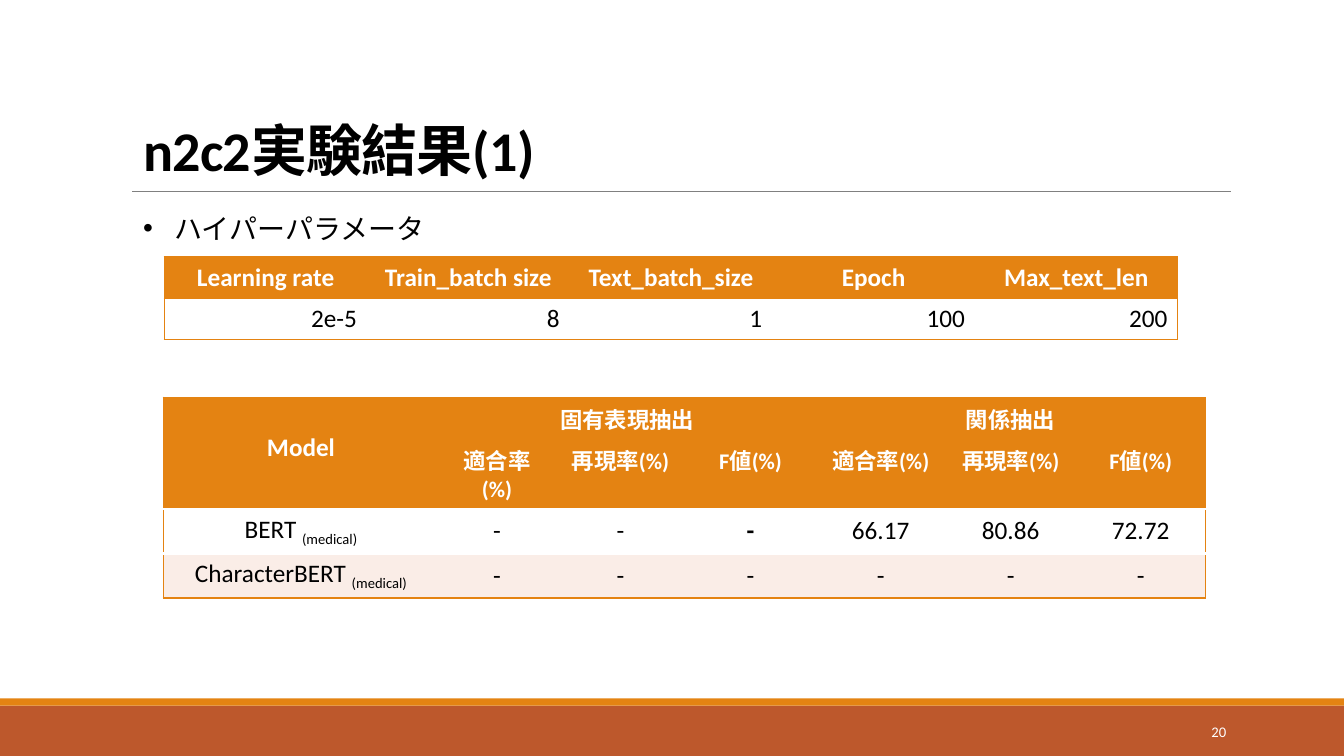
from lxml import etree
from pptx import Presentation
from pptx.dml.color import RGBColor
from pptx.enum import shapes, text
from pptx.oxml.ns import qn
from pptx.util import Inches, Pt

ORANGE = RGBColor(0xE4, 0x83, 0x12)
RUST = RGBColor(0xBD, 0x58, 0x2C)
PINK = RGBColor(0xFA, 0xED, 0xE7)
GRAY = RGBColor(0x80, 0x80, 0x80)
WHITE = RGBColor(0xFF, 0xFF, 0xFF)
BLACK = RGBColor(0, 0, 0)
LEFT, CENTER, RIGHT = text.PP_ALIGN.LEFT, text.PP_ALIGN.CENTER, text.PP_ALIGN.RIGHT
TOP, MIDDLE = text.MSO_ANCHOR.TOP, text.MSO_ANCHOR.MIDDLE
NO_GRID = "{2D5ABB26-0587-4C30-8999-92F81FD0307C}"


def add_run(p, words, size, color, bold=False):
    r = p.add_run()
    r.text = words
    r.font.size, r.font.bold = Pt(size), bold
    r.font.color.rgb = color
    r.font.name = "Calibri"
    etree.SubElement(r._r.rPr, qn("a:ea"), typeface="Noto Sans CJK JP")
    return r


def add_border(cell, side, color, width):
    ln = etree.SubElement(cell._tc.get_or_add_tcPr(), qn("a:ln" + side), w=str(Pt(width)))
    fill = etree.SubElement(ln, qn("a:solidFill"))
    etree.SubElement(fill, qn("a:srgbClr"), val=str(color))


prs = Presentation()
prs.slide_width, prs.slide_height = Inches(13.33), Inches(7.5)
s = prs.slides.add_slide(prs.slide_layouts[5])

# Footer bands
for top, height, color in [(7, 0.5, RUST), (6.93, 0.07, ORANGE)]:
    sp = s.shapes.add_shape(shapes.MSO_SHAPE.RECTANGLE, 0, Inches(top),
                            prs.slide_width, Inches(height))
    sp.shadow.inherit = False
    sp.fill.solid()
    sp.fill.fore_color.rgb = color
    sp.line.fill.background()

# Rule under the title
rule = s.shapes.add_connector(shapes.MSO_CONNECTOR.STRAIGHT, Inches(1.31), Inches(1.9),
                              Inches(12.21), Inches(1.9))
rule.line.color.rgb = GRAY
rule.line.width = Pt(0.5)
etree.SubElement(rule._element.spPr, qn("a:effectLst"))

# Title
title = s.shapes.title
title.left, title.top = Inches(1.32), Inches(0.82)
title.width, title.height = Inches(10.93), Inches(1.04)
tf = title.text_frame
tf.auto_size = text.MSO_AUTO_SIZE.NONE
tf.vertical_anchor = text.MSO_ANCHOR.BOTTOM
p = tf.paragraphs[0]
p.alignment, p.line_spacing = LEFT, 0.85
for words in ["n2c2", "実験結果", "(1)"]:
    r = add_run(p, words, 40, BLACK, True)
    r._r.rPr.set("spc", "-50")

# Bullet line
tf = s.shapes.add_textbox(Inches(1.32), Inches(2.05), Inches(9.69), Inches(0.44)).text_frame
tf.word_wrap = True
p = tf.paragraphs[0]
pPr = p._p.get_or_add_pPr()
pPr.set("marL", str(Inches(0.31)))
pPr.set("indent", str(-Inches(0.31)))
etree.SubElement(pPr, qn("a:buFont"), typeface="Arial")
etree.SubElement(pPr, qn("a:buChar"), char="•")
add_run(p, "ハイパーパラメータ", 20, BLACK)

# Slide number
tf = s.shapes.add_textbox(Inches(10.83), Inches(7.06), Inches(1.43), Inches(0.4)).text_frame
tf.word_wrap = True
tf.vertical_anchor = MIDDLE
p = tf.paragraphs[0]
p.alignment = RIGHT
add_run(p, "20", 10.5, WHITE)

# Table contents
params = [["Learning rate", "Train_batch size", "Text_batch_size", "Epoch", "Max_text_len"],
          ["2e-5", "8", "1", "100", "200"]]
measures = ["適合率(%)", "再現率(%)", "F値(%)"]
results = [["Model", "固有表現抽出", "", "", "関係抽出", "", ""],
           [""] + measures * 2,
           ["BERT ", "-", "-", "-", "66.17", "80.86", "72.72"],
           ["CharacterBERT "] + ["-"] * 6]

# Each table: rows, left, top, column widths, row fills, header rows, inner line colour and width
tables = [
    (params, 1.63, 2.55, [2.01] * 5, [ORANGE, WHITE], 1, ORANGE, 1),
    (results, 1.62, 3.94, [2.73, 1.16] + [1.29] * 5, [ORANGE, ORANGE, WHITE, PINK], 2, WHITE, 2.25),
]
for rows, left, top, widths, fills, headers, inner, inner_width in tables:
    n_rows, n_cols = len(rows), len(widths)
    is_results = rows is results
    tbl = s.shapes.add_table(n_rows, n_cols, Inches(left), Inches(top),
                             Inches(sum(widths)), Inches(0.41 * n_rows)).table
    tbl._tbl.tblPr.find(qn("a:tableStyleId")).text = NO_GRID
    for col, width in zip(tbl.columns, widths):
        col.width = Inches(width)
    for row in tbl.rows:
        row.height = Inches(0.41)
    if is_results:
        tbl.cell(0, 0).merge(tbl.cell(1, 0))
        for first in (1, 4):
            tbl.cell(0, first).merge(tbl.cell(0, first + 2))

    for i, row in enumerate(rows):
        for j, words in enumerate(row):
            cell = tbl.cell(i, j)
            header = i < headers
            # Orange frame, inner lines below the header and between body rows
            end = i + cell.span_height
            if j == 0:
                add_border(cell, "L", ORANGE, 1)
            if j == n_cols - 1:
                add_border(cell, "R", ORANGE, 1)
            for side, line in [("T", i), ("B", end)]:
                if headers <= line < n_rows:
                    add_border(cell, side, inner, inner_width)
                else:
                    add_border(cell, side, ORANGE, 1)
            cell.fill.solid()
            cell.fill.fore_color.rgb = fills[i]
            if not words:
                continue

            p = cell.text_frame.paragraphs[0]
            p.alignment = CENTER if header or is_results else RIGHT
            middle = is_results and j > 0 and i != 1
            cell.vertical_anchor = MIDDLE if middle else TOP
            size = 16 if is_results and header and j > 0 else 18
            bold = header or (is_results and (i, j) == (2, 3))
            add_run(p, words, size, WHITE if header else BLACK, bold)
            if is_results and not header and j == 0:
                r = add_run(p, "(medical)", 18, BLACK)
                r._r.rPr.set("baseline", "-25000")

    # The model heading sits one line down
    if is_results:
        tbl.cell(0, 0).margin_top = Inches(0.35)

prs.save("out.pptx")
